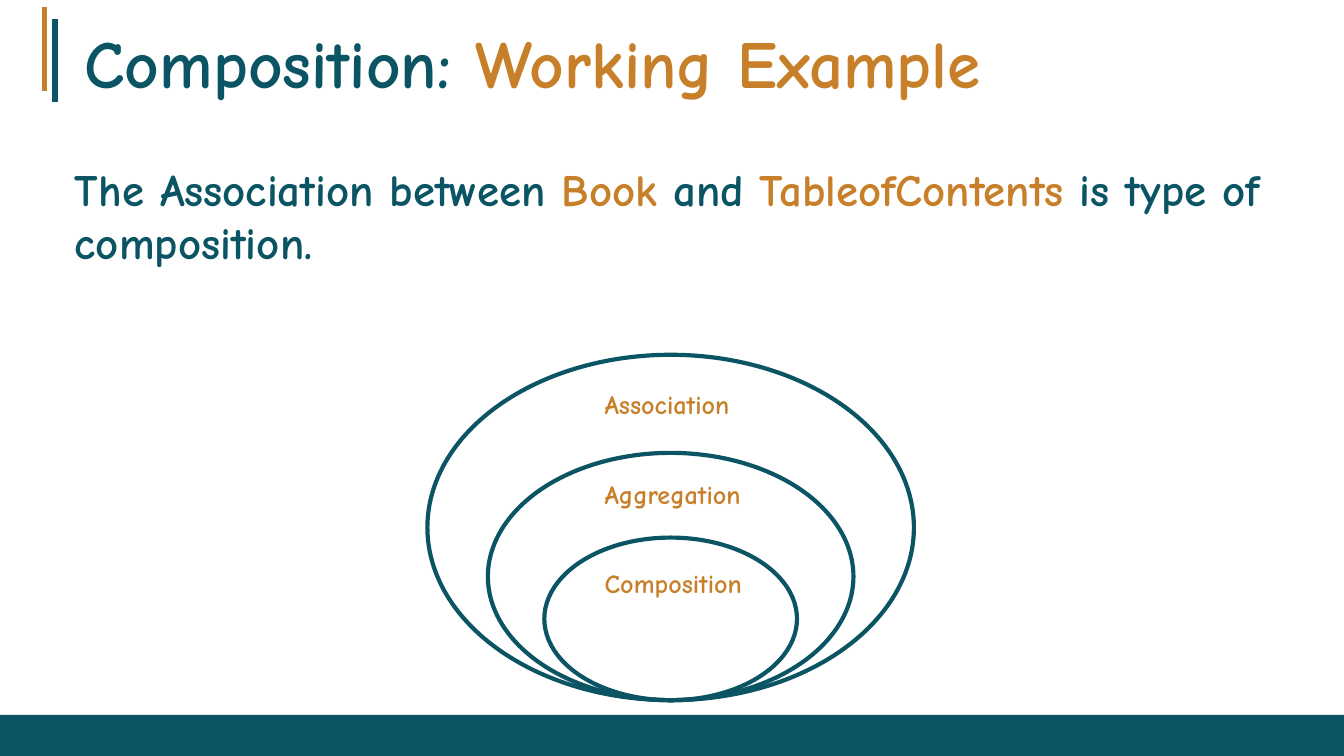
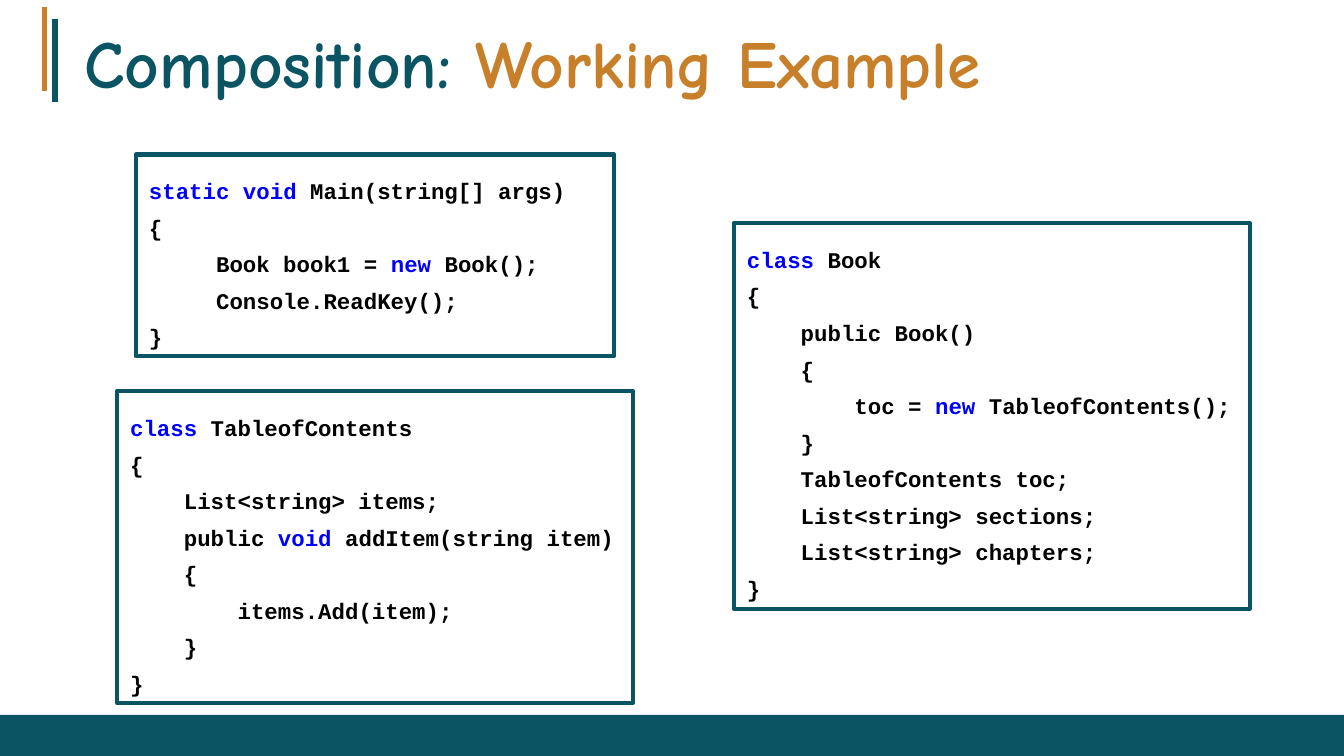
"""Build two slides on composition: an association diagram and its code example."""
import pptx
import pptx.util
import pptx.dml.color
import pptx.enum.shapes
import pptx.enum.text
import pptx.oxml.ns
import lxml.etree

Inches = pptx.util.Inches
Pt = pptx.util.Pt
SHAPE = pptx.enum.shapes.MSO_SHAPE
ANCHOR = pptx.enum.text.MSO_ANCHOR
TEAL = pptx.dml.color.RGBColor(0x0A, 0x54, 0x63)
OCHRE = pptx.dml.color.RGBColor(0xC7, 0x80, 0x29)
BLUE = pptx.dml.color.RGBColor(0x00, 0x00, 0xFF)
BLACK = pptx.dml.color.RGBColor(0x00, 0x00, 0x00)
BODY_FONT = "Comic Neue"
CODE_FONT = "Courier New"
CHAR_WIDTH = 0.1
TITLE = "Composition:* Working Example*"


def write(p, text, font, size, color, accent):
    """Fill a paragraph, giving the parts between asterisks the accent colour."""
    p.font.name, p.font.size, p.font.bold = font, Pt(size), True
    p.alignment = pptx.enum.text.PP_ALIGN.LEFT
    for i, part in enumerate(text.split("*")):
        if part:
            r = p.add_run()
            r.text = part
            r.font.color.rgb = accent if i % 2 else color


def set_frame(sp, anchor=ANCHOR.TOP, left=0.1):
    """Set wrapping, anchor and insets, and return the text frame."""
    tf = sp.text_frame
    tf.word_wrap = True
    tf.vertical_anchor = anchor
    tf.margin_left = Inches(left)
    tf.margin_top = tf.margin_right = tf.margin_bottom = Inches(0.1)
    return tf


prs = pptx.Presentation()
prs.slide_width, prs.slide_height = Inches(10), Inches(10 * 9 / 16)

slides = []
for _ in range(2):
    s = prs.slides.add_slide(prs.slide_layouts[6])
    slides.append(s)
    sp = s.shapes.add_textbox(0, 0, Inches(10), Inches(0.86))
    tf = set_frame(sp, ANCHOR.BOTTOM, 0.63)
    write(tf.paragraphs[0], TITLE, BODY_FONT, 36, TEAL, OCHRE)
    for x, top, bottom, color in [(0.41, 0.14, 0.76, TEAL), (0.33, 0.05, 0.68, OCHRE)]:
        line = s.shapes.add_connector(
            pptx.enum.shapes.MSO_CONNECTOR.STRAIGHT,
            Inches(x), Inches(top), Inches(x), Inches(bottom))
        line.line.color.rgb = color
        line.line.width = Pt(3)
        lxml.etree.SubElement(line._element.spPr, pptx.oxml.ns.qn("a:effectLst"))
    sp = s.shapes.add_shape(SHAPE.RECTANGLE, 0, Inches(5.32), Inches(10), Inches(0.31))
    sp.shadow.inherit = False
    sp.fill.solid()
    sp.fill.fore_color.rgb = TEAL
    sp.line.fill.background()

diagram, code = slides

sp = diagram.shapes.add_textbox(Inches(0.46), Inches(1.1), Inches(9.46), Inches(3.46))
write(set_frame(sp).paragraphs[0],
      "The Association between *Book* and *TableofContents* is type of composition.",
      BODY_FONT, 24, TEAL, OCHRE)

rings = [
    ("Association", 3.62, 2.57, 2.79),
    ("Aggregation", 2.72, 1.84, 3.46),
    ("Composition", 1.88, 1.21, 4.12),
]
for label, width, height, label_top in rings:
    sp = diagram.shapes.add_shape(
        SHAPE.OVAL, Inches(4.99 - width / 2), Inches(5.21 - height),
        Inches(width), Inches(height))
    sp.shadow.inherit = False
    sp.fill.background()
    sp.line.color.rgb = TEAL
    sp.line.width = Pt(2.25)
    sp = diagram.shapes.add_textbox(
        Inches(4.4), Inches(label_top), Inches(1.4), Inches(0.44))
    write(set_frame(sp).paragraphs[0], label, BODY_FONT, 14, OCHRE, OCHRE)

listings = [
    ((1.01, 1.15, 3.56, 1.5), [
        (0, "*static* *void* Main(string[] args)"),
        (0, "{"),
        (5, "Book book1 = *new* Book();"),
        (5, "Console.ReadKey();"),
        (0, "}"),
    ]),
    ((5.46, 1.66, 3.84, 2.87), [
        (0, "*class* Book"),
        (0, "{"),
        (4, "public Book()"),
        (4, "{"),
        (8, "toc = *new* TableofContents();"),
        (4, "}"),
        (4, "TableofContents toc;"),
        (4, "List<string> sections;"),
        (4, "List<string> chapters;"),
        (0, "}"),
    ]),
    ((0.87, 2.91, 3.84, 2.32), [
        (0, "*class* TableofContents"),
        (0, "{"),
        (4, "List<string> items;"),
        (4, "public *void* addItem(string item)"),
        (4, "{"),
        (8, "items.Add(item);"),
        (4, "}"),
        (0, "}"),
    ]),
]
for box, lines in listings:
    sp = code.shapes.add_shape(SHAPE.RECTANGLE, *map(Inches, box))
    sp.shadow.inherit = False
    sp.fill.background()
    sp.line.color.rgb = TEAL
    sp.line.width = Pt(2.25)
    tf = set_frame(sp)
    for i, (indent, text) in enumerate(lines):
        p = tf.add_paragraph() if i else tf.paragraphs[0]
        p.line_spacing = 1.36
        p._p.get_or_add_pPr().set("marL", str(Inches(indent * CHAR_WIDTH)))
        write(p, text, CODE_FONT, 12, BLACK, BLUE)

prs.save("out.pptx")
